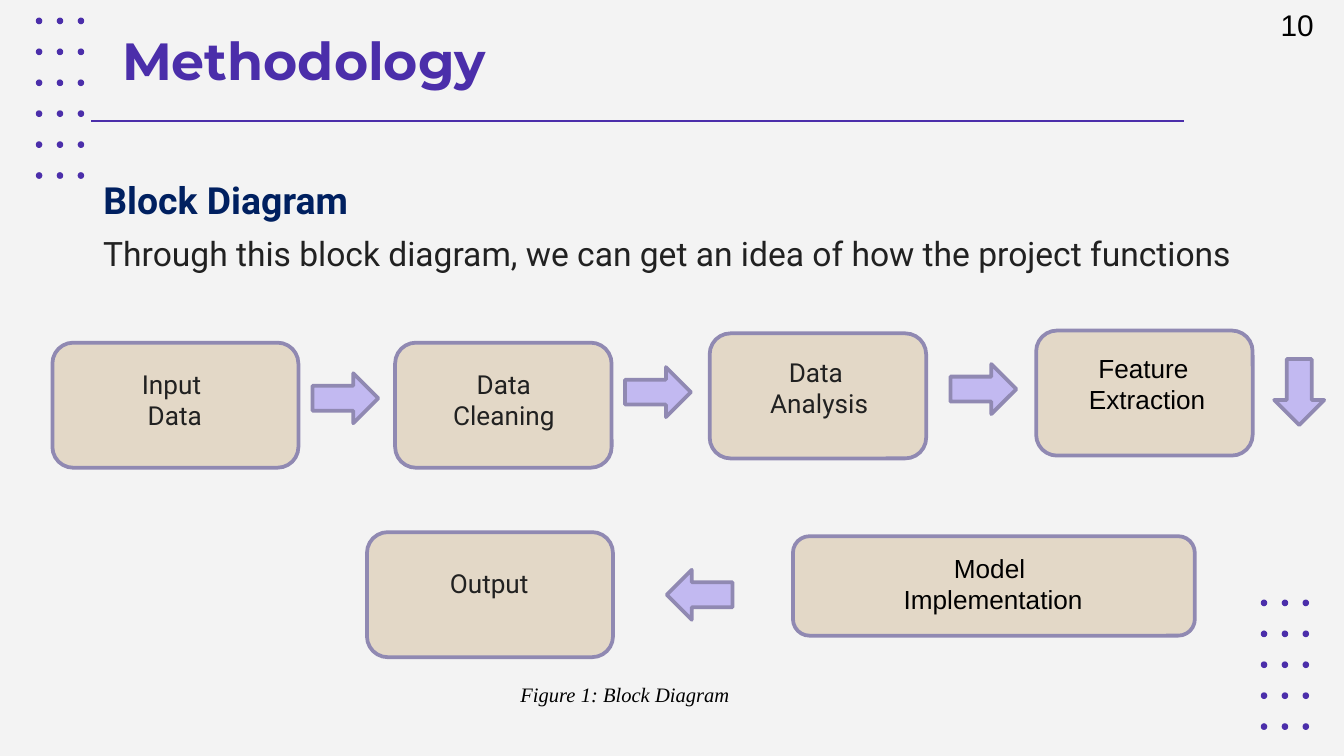
from dataclasses import dataclass

from pptx import Presentation
from pptx.dml.color import RGBColor
from pptx.enum.shapes import MSO_CONNECTOR, MSO_SHAPE
from pptx.enum.text import MSO_ANCHOR, PP_ALIGN
from pptx.oxml.ns import qn
from pptx.util import Pt
from lxml import etree

OVAL = MSO_SHAPE.OVAL
ROUNDED = MSO_SHAPE.ROUNDED_RECTANGLE
DOWN_ARROW = MSO_SHAPE.DOWN_ARROW
STRAIGHT = MSO_CONNECTOR.STRAIGHT
TOP = MSO_ANCHOR.TOP
LEFT, CENTER, JUSTIFY = PP_ALIGN.LEFT, PP_ALIGN.CENTER, PP_ALIGN.JUSTIFY


@dataclass(frozen=True)
class Style:
    font: str
    size: float
    color: str
    bold: bool = False
    italic: bool = False


@dataclass(frozen=True)
class Theme:
    background: str = "F3F3F3"
    accent: str = "4B2EAA"
    block: str = "E3D8C7"
    arrow: str = "C2B9F1"
    outline: str = "9089B2"
    title: Style = Style("Montserrat", 28, "4B2EAA", bold=True)
    heading: Style = Style("Roboto", 20, "002060", bold=True)
    body: Style = Style("Roboto", 18, "212121")
    number: Style = Style("Arial", 16, "000000")
    step: Style = Style("Roboto", 14, "212121")
    plain_step: Style = Style("Arial", 14, "000000")
    caption: Style = Style("Times New Roman", 11, "000000", italic=True)


THEME = Theme()
INDENT = 48.24

FLOW_BLOCKS = [
    ((28.1, 183.6, 131.8, 67), (29.5, 193.7, 128.2, 41), "Input \nData", THEME.step),
    ((211.7, 183.6, 116, 67), (235.4, 193.7, 69.1, 41), "Data\nCleaning", THEME.step),
    ((380.2, 178.6, 116, 67), (370.1, 187.2, 137.5, 41), "Data \nAnalysis", THEME.step),
    ((555.1, 177.1, 116, 67), (545.8, 185, 137.5, 41), "Feature \nExtraction", THEME.plain_step),
    ((424.8, 287.3, 215.3, 53.3), (420.5, 292.3, 223.2, 41), "Model \nImplementation", THEME.plain_step),
    ((196.6, 285.1, 131.8, 67), (198, 300.2, 128.2, 24.5), "Output", THEME.step),
]
FLOW_ARROWS = [
    (171.6, 195.7, 270),
    (339.1, 192.4, 270),
    (513.4, 190.8, 270),
    (682.6, 192.4, 0),
    (361.4, 301, 90),
]


def rgb(color):
    return RGBColor.from_string(color)


def add_filled(shapes, kind, box, fill, outline=None):
    shape = shapes.add_shape(kind, *map(Pt, box))
    shape.shadow.inherit = False
    shape.fill.solid()
    shape.fill.fore_color.rgb = rgb(fill)
    if outline:
        shape.line.color.rgb = rgb(outline)
        shape.line.width = Pt(2)
    else:
        shape.line.fill.background()
    return shape


def add_text(slide, box, text, style, align=LEFT, wrap=True, indent=0):
    holder = slide.shapes.add_textbox(*map(Pt, box))
    frame = holder.text_frame
    frame.word_wrap = wrap
    frame.vertical_anchor = TOP
    frame.text = text
    for paragraph in frame.paragraphs:
        paragraph.alignment = align
        if indent:
            properties = paragraph._p.get_or_add_pPr()
            properties.set("marL", str(Pt(indent)))
            properties.set("indent", "0")
        for run in paragraph.runs:
            run.font.name = style.font
            run.font.size = Pt(style.size)
            run.font.bold = style.bold
            run.font.italic = style.italic
            run.font.color.rgb = rgb(style.color)
    return frame


def add_dot_grid(slide, left, top, columns, rows):
    dots = slide.shapes.add_group_shape().shapes
    for column in range(columns):
        for row in range(rows):
            box = (left + column * 11.2, top + row * 16.57, 3.5, 3.6)
            add_filled(dots, OVAL, box, THEME.accent)


def add_rule(slide, left, right, y):
    rule = slide.shapes.add_connector(STRAIGHT, Pt(left), Pt(y), Pt(right), Pt(y))
    rule.line.color.rgb = rgb(THEME.accent)
    rule.line.width = Pt(0.75)
    etree.SubElement(rule._element.spPr, qn("a:effectLst"))


def add_block(slide, box, label_box, label, style):
    add_filled(slide.shapes, ROUNDED, box, THEME.block, THEME.outline)
    add_text(slide, label_box, label, style, CENTER)


def add_arrow(slide, left, top, rotation):
    box = (left, top, 26.8, 35.3)
    arrow = add_filled(slide.shapes, DOWN_ARROW, box, THEME.arrow, THEME.outline)
    arrow.rotation = rotation


def add_header(slide):
    add_text(slide, (679, 0, 33.8, 26.6), "10", THEME.number)
    add_rule(slide, 49, 634.3, 64.8)
    title = add_text(slide, (58.3, 7.9, 579.6, 71.3), "Methodology", THEME.title)
    title.margin_top = title.margin_bottom = Pt(7.2)
    add_text(slide, (0, 91.4, 195.8, 31.7), "Block Diagram", THEME.heading,
             JUSTIFY, wrap=False, indent=INDENT)
    add_text(slide, (0, 121, 702.7, 28.8),
             "Through this block diagram, we can get an idea of how the project functions",
             THEME.body, JUSTIFY, indent=INDENT)


def add_caption(slide):
    caption = add_text(slide, (185.8, 360.7, 298.1, 20.9), "Figure 1: Block Diagram",
                       THEME.caption, CENTER)
    caption.paragraphs[0].line_spacing = 1.07
    caption.paragraphs[0].space_after = Pt(8)


def main():
    deck = Presentation()
    deck.slide_width, deck.slide_height = Pt(720), Pt(405)
    slide = deck.slides.add_slide(deck.slide_layouts[6])
    slide.background.fill.solid()
    slide.background.fill.fore_color.rgb = rgb(THEME.background)

    add_dot_grid(slide, 19.2, 9.4, columns=3, rows=6)
    add_dot_grid(slide, 675.4, 321.2, columns=3, rows=5)
    add_header(slide)
    for block in FLOW_BLOCKS:
        add_block(slide, *block)
    for arrow in FLOW_ARROWS:
        add_arrow(slide, *arrow)
    add_caption(slide)
    deck.save("out.pptx")


if __name__ == "__main__":
    main()
